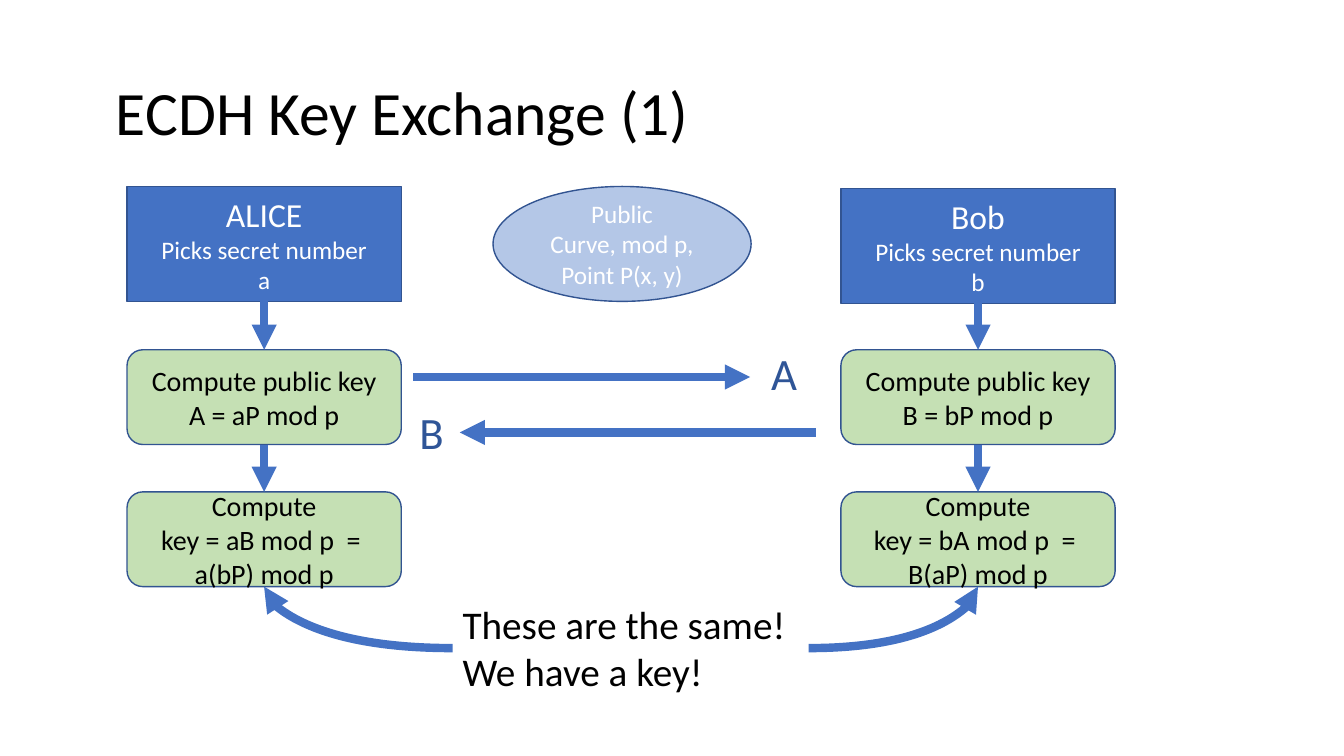
from lxml.etree import SubElement
from pptx import Presentation
from pptx.dml.color import RGBColor
from pptx.enum.shapes import MSO_CONNECTOR, MSO_SHAPE
from pptx.enum.text import MSO_ANCHOR, MSO_AUTO_SIZE, PP_ALIGN
from pptx.oxml.ns import qn
from pptx.util import Inches, Pt

BLUE = RGBColor(0x44, 0x72, 0xC4)
OUTLINE = RGBColor(0x32, 0x54, 0x91)
LETTER_BLUE = RGBColor(0x2F, 0x55, 0x97)
PALE_BLUE = RGBColor(0xB4, 0xC7, 0xE7)
GREEN = RGBColor(0xC5, 0xE0, 0xB4)
WHITE = RGBColor(0xFF, 0xFF, 0xFF)
BLACK = RGBColor(0, 0, 0)
TOP, LEFT, BOTTOM, RIGHT = range(4)


class DiagramSlide:
    """Draws the elements of a key exchange diagram in one style."""

    font_name = "Calibri"

    def __init__(self, slide):
        self.slide = slide
        self.shapes = slide.shapes

    def set_text(self, frame, lines, sizes, color, align):
        frame.word_wrap = True
        for index, (line, size) in enumerate(zip(lines, sizes)):
            paragraph = frame.add_paragraph() if index else frame.paragraphs[0]
            paragraph.text = line
            paragraph.alignment = align
            paragraph.font.name = self.font_name
            paragraph.font.size = Pt(size)
            paragraph.font.color.rgb = color

    def title(self, text, left, top, width, height):
        title = self.shapes.title
        title.left, title.top = Inches(left), Inches(top)
        title.width, title.height = Inches(width), Inches(height)
        title.text_frame.vertical_anchor = MSO_ANCHOR.MIDDLE
        self.set_text(title.text_frame, [text], [44], BLACK, PP_ALIGN.LEFT)
        title.text_frame.paragraphs[0].line_spacing = 0.9

    def box(self, kind, bounds, fill, lines, sizes, color):
        box = self.shapes.add_shape(kind, *map(Inches, bounds))
        box.shadow.inherit = False
        box.fill.solid()
        box.fill.fore_color.rgb = fill
        box.line.color.rgb = OUTLINE
        box.line.width = Pt(1)
        box.text_frame.vertical_anchor = MSO_ANCHOR.MIDDLE
        self.set_text(box.text_frame, lines, sizes, color, PP_ALIGN.CENTER)
        return box

    def label(self, bounds, lines, size, color):
        label = self.shapes.add_textbox(*map(Inches, bounds))
        self.set_text(label.text_frame, lines, [size] * len(lines), color, PP_ALIGN.LEFT)
        label.text_frame.auto_size = MSO_AUTO_SIZE.SHAPE_TO_FIT_TEXT
        return label

    def arrow(self, start=(0, 0), end=(0, 0), kind=MSO_CONNECTOR.STRAIGHT):
        arrow = self.shapes.add_connector(kind, *map(Inches, (*start, *end)))
        arrow.line.color.rgb = BLUE
        arrow.line.width = Pt(6)
        properties = arrow._element.spPr
        SubElement(properties.find(qn("a:ln")), qn("a:tailEnd"), type="triangle")
        SubElement(properties, qn("a:effectLst"))
        return arrow

    def link(self, source, target):
        arrow = self.arrow()
        arrow.begin_connect(source, BOTTOM)
        arrow.end_connect(target, TOP)

    def curve(self, source, side, target):
        arrow = self.arrow(kind=MSO_CONNECTOR.CURVE)
        arrow._element.spPr.find(qn("a:prstGeom")).set("prst", "curvedConnector2")
        arrow.begin_connect(source, side)
        arrow.end_connect(target, BOTTOM)


def main():
    presentation = Presentation()
    presentation.slide_width = Inches(13.33)
    presentation.slide_height = Inches(7.5)
    diagram = DiagramSlide(presentation.slides.add_slide(presentation.slide_layouts[5]))

    diagram.title("ECDH Key Exchange (1)", 1.05, 0.42, 11.5, 1.45)
    diagram.box(MSO_SHAPE.OVAL, (4.89, 1.85, 2.56, 1.14), PALE_BLUE,
                ["Public", "Curve, mod p, Point P(x, y)"], [18, 18], WHITE)
    conclusion = diagram.label((4.49, 5.91, 3.53, 1.04),
                               ["These are the same!", "We have a key!"], 28, BLACK)

    parties = [
        (1.26, 1.85, LEFT, "ALICE", "a", "A = aP mod p", "key = aB mod p  = ", "a(bP) mod p"),
        (8.34, 1.87, RIGHT, "Bob", "b", "B = bP mod p", "key = bA mod p  = ", "B(aP) mod p"),
    ]
    for left, top, side, name, secret, public_key, shared_key, expansion in parties:
        person = diagram.box(MSO_SHAPE.RECTANGLE, (left, top, 2.72, 1.14), BLUE,
                             [name, "Picks secret number", secret], [24, 18, 18], WHITE)
        public = diagram.box(MSO_SHAPE.ROUNDED_RECTANGLE, (left, 3.47, 2.72, 0.94), GREEN,
                             ["Compute public key", public_key], [20, 20], BLACK)
        shared = diagram.box(MSO_SHAPE.ROUNDED_RECTANGLE, (left, 4.88, 2.72, 0.94), GREEN,
                             ["Compute", shared_key, expansion], [20, 20, 20], BLACK)
        diagram.link(person, public)
        diagram.link(public, shared)
        diagram.curve(conclusion, side, shared)

    diagram.arrow((4.1, 3.74), (7.44, 3.74))
    diagram.arrow((8.09, 4.29), (4.56, 4.29))
    diagram.label((7.55, 3.38, 0.69, 0.64), ["A"], 32, LETTER_BLUE)
    diagram.label((4.06, 3.97, 0.69, 0.64), ["B"], 32, LETTER_BLUE)

    presentation.save("out.pptx")


if __name__ == "__main__":
    main()
